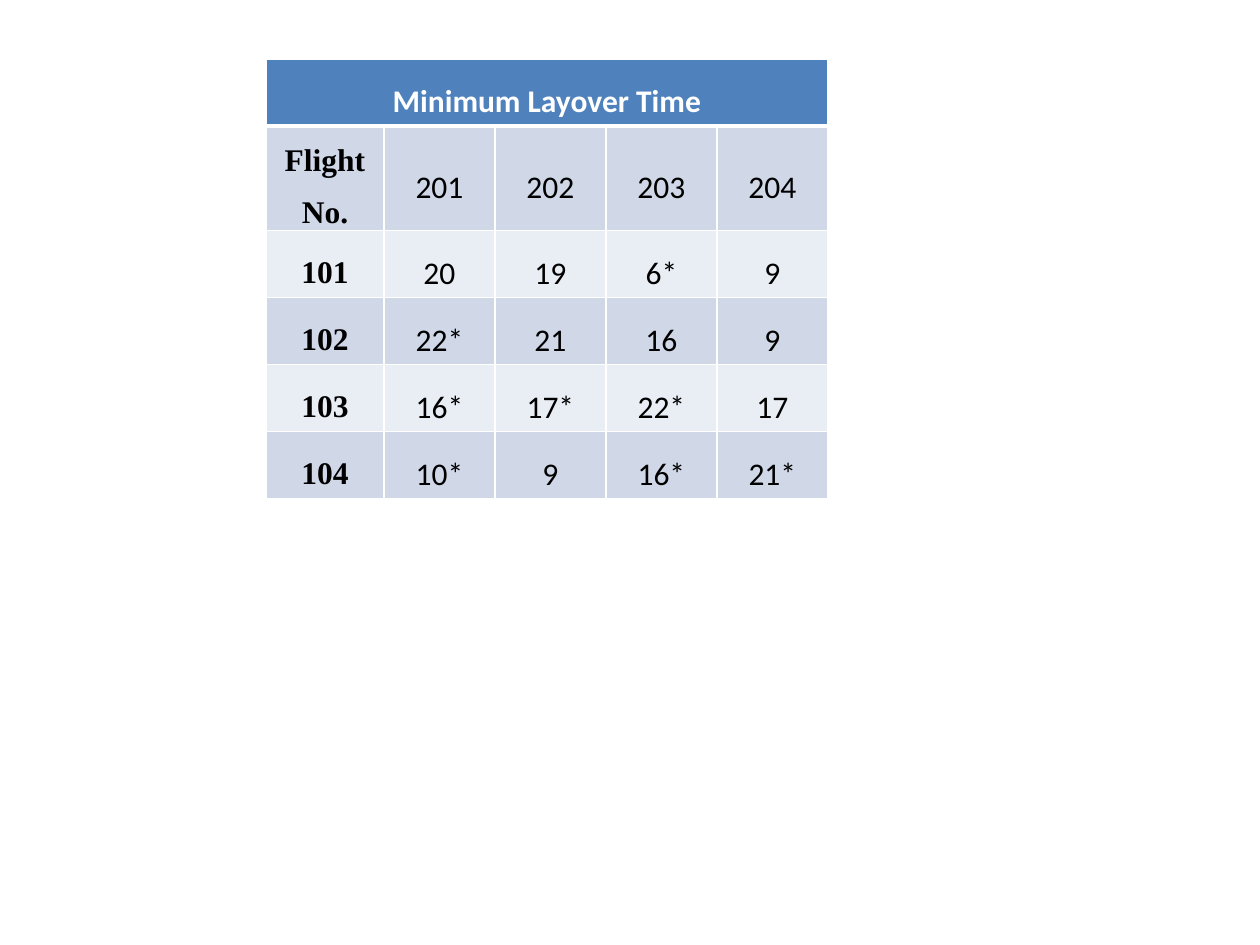
import dataclasses

import lxml.etree
import pptx
import pptx.dml.color
import pptx.enum.text
import pptx.oxml.ns
import pptx.util

PX_PER_INCH = 126

COLUMN_WIDTHS = [118, 111, 111, 111, 111]
ROW_HEIGHT = 67
TABLE_LEFT, TABLE_TOP = 266, 59

TITLE = "Minimum Layover Time"
LAYOVERS = [
    ["Flight No.", "201", "202", "203", "204"],
    ["101", "20", "19", "6*", "9"],
    ["102", "22*", "21", "16", "9"],
    ["103", "16*", "17*", "22*", "17"],
    ["104", "10*", "9", "16*", "21*"],
]


@dataclasses.dataclass(frozen=True)
class Theme:
    header: str = "4F81BD"
    bands: tuple = ("D0D8E8", "E9EDF4")
    border: str = "FFFFFF"
    header_text: str = "FFFFFF"
    text: str = "000000"
    size: int = 18
    body_font: str = "Calibri"
    flight_font: str = "Times New Roman"


THEME = Theme()


def px(n):
    return pptx.util.Emu(round(n * 914400 / PX_PER_INCH))


def rgb(value):
    return pptx.dml.color.RGBColor.from_string(value)


def set_borders(cell, bottom):
    """Draw all four cell edges; widths are in points."""
    qn = pptx.oxml.ns.qn
    tc_pr = cell._tc.get_or_add_tcPr()
    for edge, width in {"lnL": 1, "lnR": 1, "lnT": 1, "lnB": bottom}.items():
        line = lxml.etree.SubElement(tc_pr, qn(f"a:{edge}"), w=str(pptx.util.Pt(width)))
        fill = lxml.etree.SubElement(line, qn("a:solidFill"))
        lxml.etree.SubElement(fill, qn("a:srgbClr"), val=THEME.border)


def format_cell(cell, fill, bottom=1):
    set_borders(cell, bottom)
    cell.fill.solid()
    cell.fill.fore_color.rgb = rgb(fill)
    layout = {
        "margin_left": px(9), "margin_right": px(9),
        "margin_top": 0, "margin_bottom": 0,
        "vertical_anchor": pptx.enum.text.MSO_ANCHOR.MIDDLE,
    }
    for name, value in layout.items():
        setattr(cell, name, value)


def write_cell(cell, text, font, bold, color):
    p = cell.text_frame.paragraphs[0]
    p.alignment = pptx.enum.text.PP_ALIGN.CENTER
    p.line_spacing = 1.5
    r = p.add_run()
    r.text = text
    style = {"name": font, "size": pptx.util.Pt(THEME.size), "bold": bold}
    for name, value in style.items():
        setattr(r.font, name, value)
    r.font.color.rgb = rgb(color)


def add_layover_table(s):
    rows, cols = len(LAYOVERS) + 1, len(COLUMN_WIDTHS)
    table = s.shapes.add_table(
        rows, cols, px(TABLE_LEFT), px(TABLE_TOP),
        px(sum(COLUMN_WIDTHS)), px(rows * ROW_HEIGHT),
    ).table
    for column, width in zip(table.columns, COLUMN_WIDTHS):
        column.width = px(width)
    for row in table.rows:
        row.height = px(ROW_HEIGHT)

    # Heading across all columns
    for c in range(cols):
        format_cell(table.cell(0, c), THEME.header, bottom=3)
    table.cell(0, 0).merge(table.cell(0, cols - 1))
    write_cell(table.cell(0, 0), TITLE, THEME.body_font, True, THEME.header_text)

    # Flight numbers and layover times in alternating bands
    for r, values in enumerate(LAYOVERS):
        for c, value in enumerate(values):
            cell = table.cell(r + 1, c)
            is_flight = c == 0
            font = THEME.flight_font if is_flight else THEME.body_font
            format_cell(cell, THEME.bands[r % 2])
            write_cell(cell, value, font, is_flight, THEME.text)


def main():
    prs = pptx.Presentation()
    prs.slide_width, prs.slide_height = px(1260), px(945)
    s = prs.slides.add_slide(prs.slide_layouts[6])
    add_layover_table(s)
    prs.save("out.pptx")


if __name__ == "__main__":
    main()
